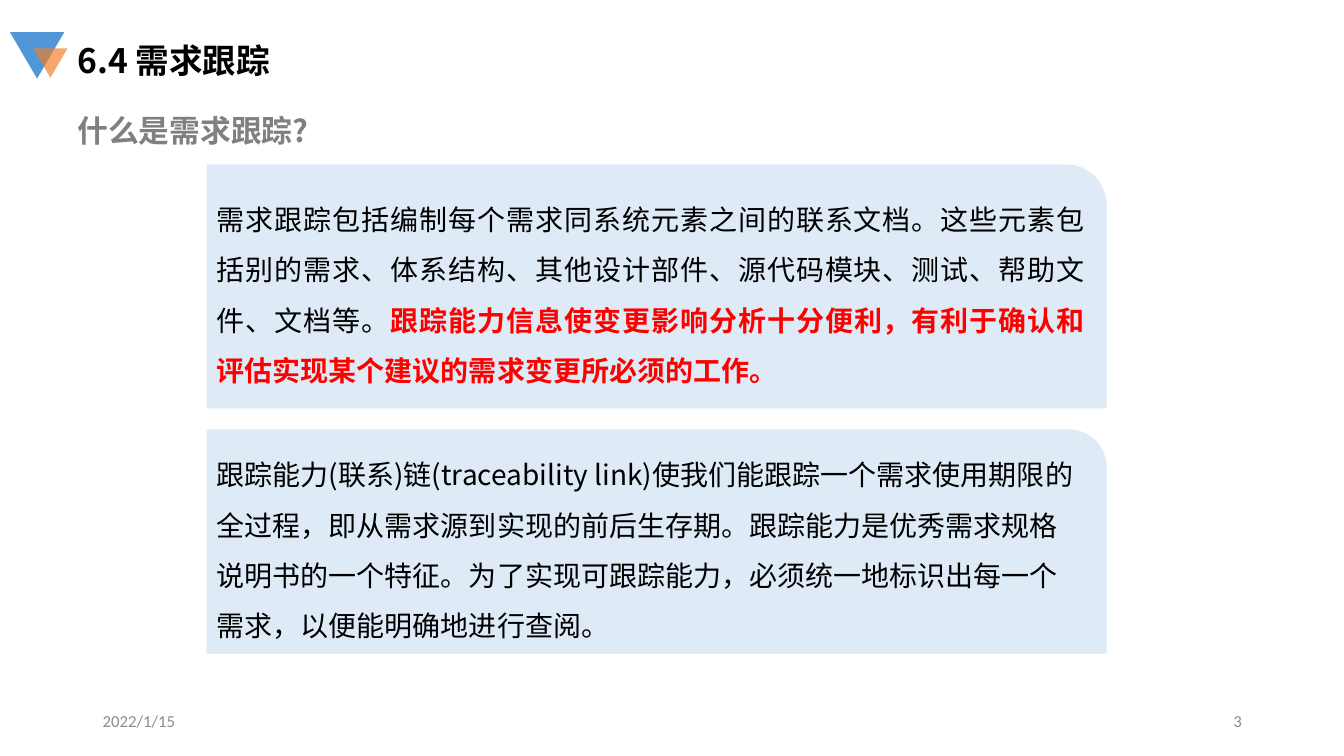
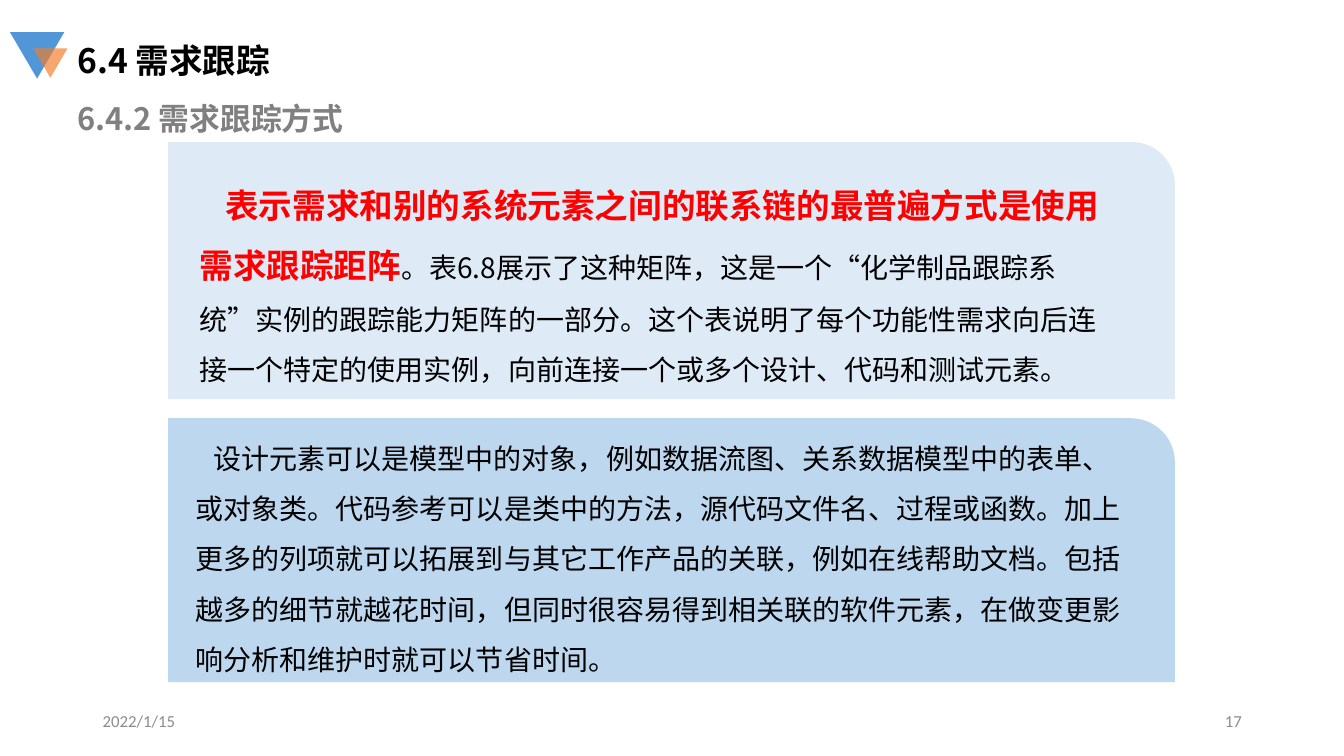
from dataclasses import dataclass

from lxml import etree
from pptx import Presentation
from pptx.dml.color import RGBColor
from pptx.enum.shapes import MSO_SHAPE
from pptx.enum.text import MSO_ANCHOR, MSO_AUTO_SIZE, PP_ALIGN
from pptx.oxml.ns import qn
from pptx.util import Cm, Pt

PANEL, TRIANGLE = MSO_SHAPE.ROUND_1_RECTANGLE, MSO_SHAPE.ISOSCELES_TRIANGLE
TOP, MIDDLE = MSO_ANCHOR.TOP, MSO_ANCHOR.MIDDLE
LEFT, RIGHT, JUSTIFY = PP_ALIGN.LEFT, PP_ALIGN.RIGHT, PP_ALIGN.JUSTIFY
NO_FIT = MSO_AUTO_SIZE.NONE


@dataclass(frozen=True)
class Theme:
    text: str = "000000"
    muted: str = "808080"
    footer: str = "8C8C8C"
    accent: str = "FF0000"
    light: str = "DEEBF7"
    medium: str = "BDD7EE"
    blue: str = "5197D7"
    orange: str = "F37D2A"
    cjk: str = "Noto Sans CJK SC"
    latin: str = "Calibri"
    title_size: int = 24
    subtitle_size: int = 22
    body_size: int = 20
    footer_size: int = 12


theme = Theme()


def write(sp, runs, size, color, font=theme.cjk, bold=False, align=LEFT, anchor=TOP):
    tf = sp.text_frame
    tf.word_wrap = True
    tf.auto_size = NO_FIT
    tf.vertical_anchor = anchor
    p = tf.paragraphs[0]
    p.alignment = align
    p.space_before = Pt(0)
    p.font.name = font
    p.font.size = Pt(size)
    p.font.bold = bold
    p.font.color.rgb = RGBColor.from_string(color)
    props = p._p.get_or_add_pPr().find(qn("a:defRPr"))
    etree.SubElement(props, qn("a:ea")).set("typeface", font)
    for text, key_size in runs:
        r = p.add_run()
        r.text = text
        if key_size:
            r.font.size = Pt(key_size)
            r.font.bold = True
            r.font.color.rgb = RGBColor.from_string(theme.accent)
    return p


def add_filled(s, kind, box, color):
    sp = s.shapes.add_shape(kind, *map(Cm, box))
    sp.shadow.inherit = False
    sp.fill.solid()
    sp.fill.fore_color.rgb = RGBColor.from_string(color)
    sp.line.fill.background()
    return sp


slides = [
    ("什么是需求跟踪?", 2.69, "3", [
        ((5.21, 4.14, 22.68, 6.15), theme.light, JUSTIFY, 0, (0.25, 0.13, 0.25), [
            ("需求跟踪包括编制每个需求同系统元素之间的联系文档。这些元素包括别的需求、"
             "体系结构、其他设计部件、源代码模块、测试、帮助文件、文档等。", None),
            ("跟踪能力信息使变更影响分析十分便利，有利于确认和评估实现某个建议的"
             "需求变更所必须的工作。", theme.body_size),
        ]),
        ((5.21, 10.82, 22.68, 5.66), theme.light, LEFT, 0, (0.25, 0.13, 0.25), [
            ("跟踪能力(联系)链(traceability link)使我们能跟踪一个需求使用期限的全过程，"
             "即从需求源到实现的前后生存期。跟踪能力是优秀需求规格说明书的一个特征。"
             "为了实现可跟踪能力，必须统一地标识出每一个需求，以便能明确地进行查阅。", None),
        ]),
    ]),
    ("6.4.2 需求跟踪方式", 2.39, "17", [
        ((4.24, 3.58, 25.37, 6.48), theme.light, LEFT, 0.65, (0.79, 0.36, 0.95), [
            ("表示需求和别的系统元素之间的联系链的最普遍方式是使用需求跟踪距阵",
             theme.title_size),
            ("。表6.8展示了这种矩阵，这是一个“化学制品跟踪系统”实例的跟踪能力矩阵的一部分。"
             "这个表说明了每个功能性需求向后连接一个特定的使用实例，"
             "向前连接一个或多个设计、代码和测试元素。", None),
        ]),
        ((4.24, 10.54, 25.37, 6.65), theme.medium, LEFT, 0.45, (0.69, 0.13, 0.84), [
            ("设计元素可以是模型中的对象，例如数据流图、关系数据模型中的表单、或对象类。"
             "代码参考可以是类中的方法，源代码文件名、过程或函数。"
             "加上更多的列项就可以拓展到与其它工作产品的关联，例如在线帮助文档。"
             "包括越多的细节就越花时间，但同时很容易得到相关联的软件元素，"
             "在做变更影响分析和维护时就可以节省时间。", None),
        ]),
    ]),
]

prs = Presentation()
prs.slide_width, prs.slide_height = Cm(33.87), Cm(19.05)
layout = prs.slide_layouts.get_by_name("Section Header")

for subtitle, subtitle_top, number, panels in slides:
    s = prs.slides.add_slide(layout)

    headings = [
        (s.shapes.title, "6.4 需求跟踪", 0.89, 1.27, theme.title_size, theme.text),
        (s.placeholders[1], subtitle, subtitle_top, 1.19, theme.subtitle_size, theme.muted),
    ]
    for sp, text, top, height, size, color in headings:
        sp.left, sp.top, sp.width, sp.height = map(Cm, (1.7, top, 13, height))
        write(sp, [(text, None)], size, color, bold=True)

    for box, color, opacity in [
        ((0.25, 0.81, 1.37, 1.17), theme.blue, 100),
        ((0.84, 1.22, 0.86, 0.74), theme.orange, 68),
    ]:
        sp = add_filled(s, TRIANGLE, box, color)
        sp.rotation = 180
        if opacity < 100:
            rgb = sp._element.spPr.find(qn("a:solidFill")).find(qn("a:srgbClr"))
            etree.SubElement(rgb, qn("a:alpha")).set("val", str(opacity * 1000))

    for box, color, align, indent, insets, runs in panels:
        sp = add_filled(s, PANEL, box, color)
        tf = sp.text_frame
        tf.margin_left, tf.margin_top, tf.margin_right = map(Cm, insets)
        p = write(sp, runs, theme.body_size, theme.text, align=align, anchor=MIDDLE)
        p.line_spacing = 1.5
        p._p.get_or_add_pPr().set("indent", str(Cm(indent)))

    for text, left, align in [("2022/1/15", 2.34, LEFT), (number, 23.93, RIGHT)]:
        sp = s.shapes.add_textbox(Cm(left), Cm(17.65), Cm(7.62), Cm(1.02))
        write(sp, [(text, None)], theme.footer_size, theme.footer, theme.latin,
              align=align, anchor=MIDDLE)

prs.save("out.pptx")
